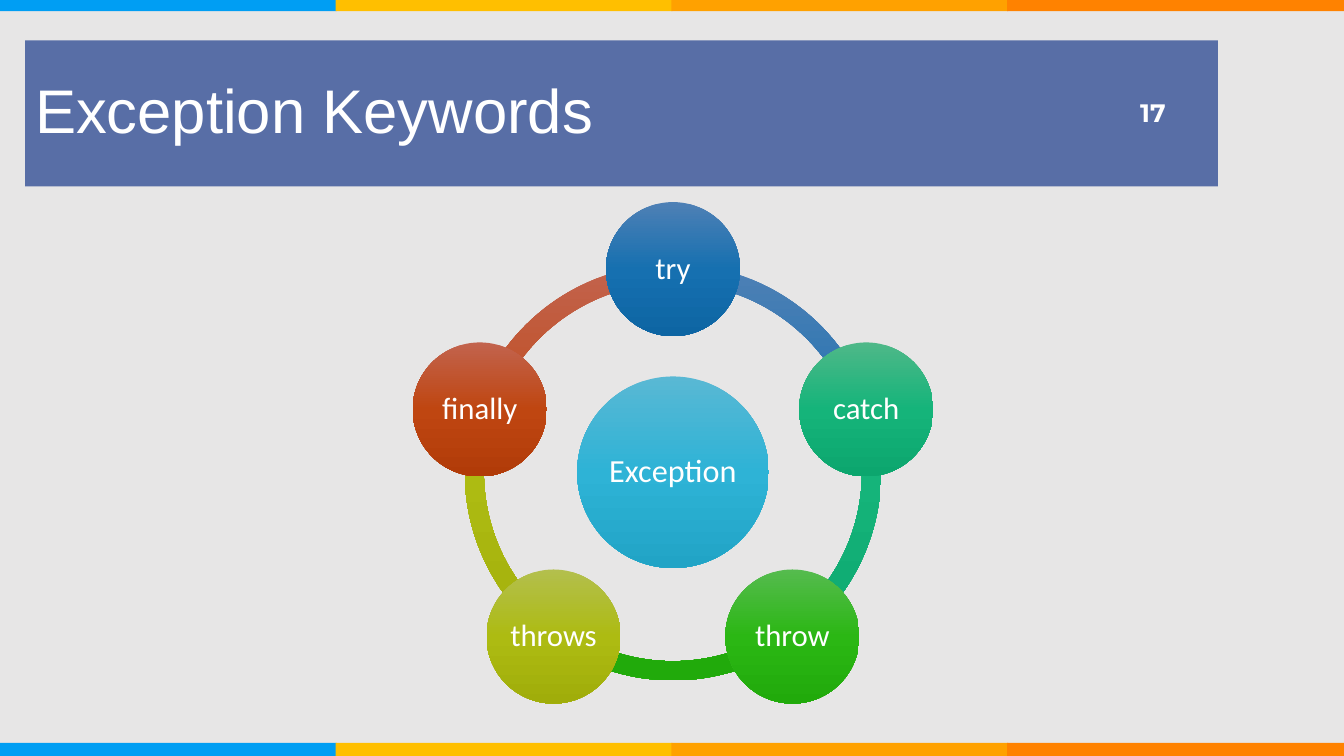
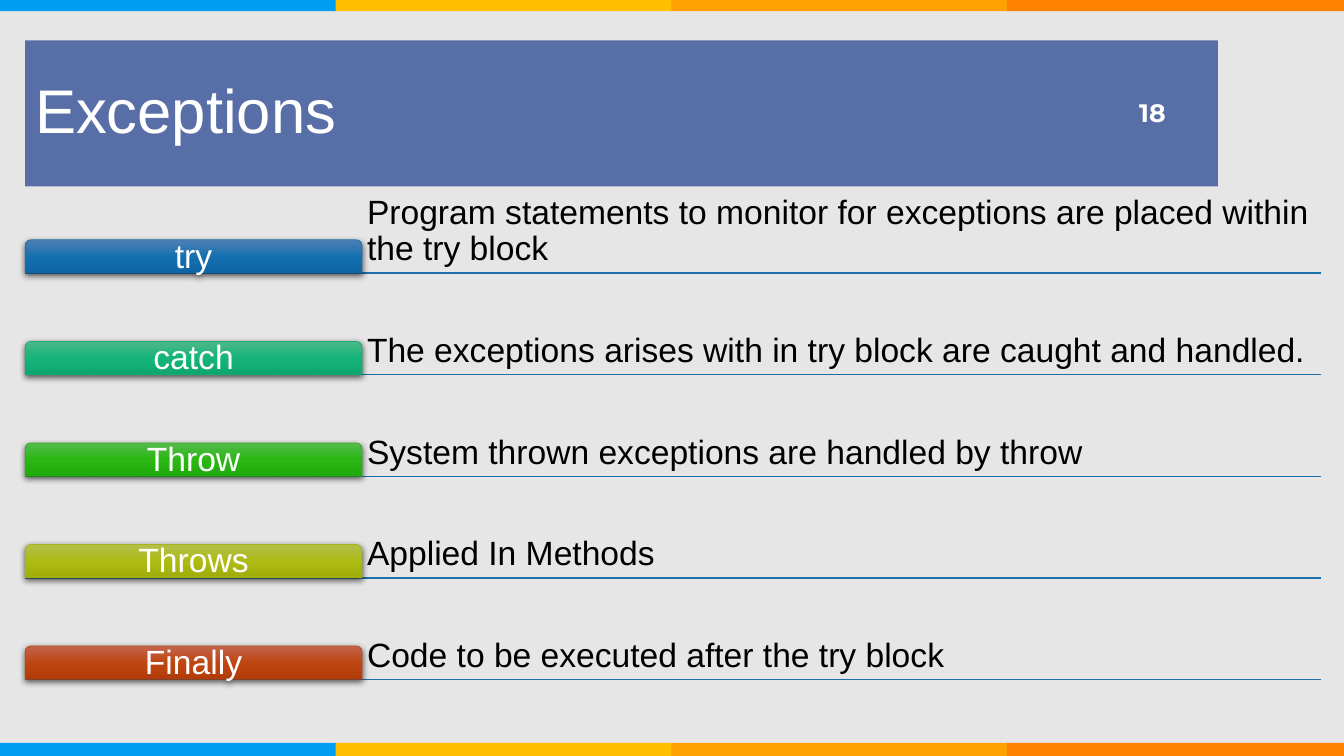
import math
import lxml.etree
import pptx
import pptx.dml.color
import pptx.enum.shapes
import pptx.enum.text
import pptx.oxml.ns
import pptx.util

PX = 9144
WIDTH, HEIGHT = 1333, 750
SHAPE = pptx.enum.shapes.MSO_SHAPE
ALIGN = pptx.enum.text.PP_ALIGN
ANCHOR = pptx.enum.text.MSO_ANCHOR

COLORS = {
    "background": "E7E6E6",
    "title": "586EA6",
    "white": "FFFFFF",
    "black": "000000",
    "rule": "1D6FA9",
}
BANDS = ["009EF3", "FFBF00", "FFA100", "FF8200"]
GRADIENTS = {
    "try": ["4E80B5", "1670B0", "0D65A3"],
    "catch": ["4EB888", "15B47A", "0CA66E"],
    "throw": ["55BB4E", "2BB714", "21AA0B"],
    "throws": ["B3BF4D", "ADBB12", "A0AD0A"],
    "finally": ["C2634D", "BF4611", "B13B08"],
    "center": ["59B8D4", "2EB3D6", "21A4C6"],
}
KEYWORDS = ["try", "catch", "throw", "throws", "finally"]
ROWS = [
    ("try", "1D6FA9", "Program statements to monitor for exceptions are placed within the try block"),
    ("catch", "1CAC78", "The exceptions arises with in try block are caught and handled."),
    ("Throw", "30B01B", "System thrown exceptions are handled by throw"),
    ("Throws", "A7B31A", "Applied In Methods"),
    ("Finally", "B74919", "Code to be executed after the try block"),
]


def px(*values):
    return [pptx.util.Emu(round(v * PX)) for v in values]


def rgb(value):
    return pptx.dml.color.RGBColor.from_string(value)


def sub(parent, tag, **attrs):
    return lxml.etree.SubElement(parent, pptx.oxml.ns.qn(tag), attrs)


def set_text(sp, text, size, color="white", font="Arial", align=ALIGN.LEFT,
             anchor=ANCHOR.MIDDLE, inset=(10, 5), bold=False, spacing=0.9, wrap=True):
    tf = sp.text_frame
    tf.text = text
    tf.word_wrap = wrap
    tf.vertical_anchor = anchor
    tf.margin_left = tf.margin_right = px(inset[0])[0]
    tf.margin_top = tf.margin_bottom = px(inset[1])[0]
    p = tf.paragraphs[0]
    p.alignment = align
    p.line_spacing = spacing
    r = p.runs[0]
    r.font.name = font
    r.font.size = pptx.util.Pt(size)
    r.font.bold = bold
    r.font.color.rgb = rgb(COLORS[color])


def add_shape(slide, kind, box, fill):
    sp = slide.shapes.add_shape(kind, *px(*box))
    sp.shadow.inherit = False
    sp.line.fill.background()
    if isinstance(fill, str):
        sp.fill.solid()
        sp.fill.fore_color.rgb = rgb(fill)
        return sp
    sp.fill.gradient()
    sp.fill.gradient_angle = 270
    stops = sp.element.spPr.find(".//" + pptx.oxml.ns.qn("a:gsLst"))
    for stop in list(stops):
        stops.remove(stop)
    for i, color in enumerate(fill):
        stop = sub(stops, "a:gs", pos=str(i * 50000))
        sub(stop, "a:srgbClr", val=color)
    return sp


def add_drop_shadow(sp):
    effects = sp.element.spPr.find(pptx.oxml.ns.qn("a:effectLst"))
    shadow = sub(effects, "a:outerShdw", blurRad="57150", dist="19050",
                 dir="5400000", algn="ctr", rotWithShape="0")
    color = sub(shadow, "a:srgbClr", val=COLORS["black"])
    sub(color, "a:alpha", val="63000")


def add_rule(slide, x1, x2, y):
    line = slide.shapes.add_connector(pptx.enum.shapes.MSO_CONNECTOR.STRAIGHT, *px(x1, y, x2, y))
    line.line.color.rgb = rgb(COLORS["rule"])
    line.line.width = pptx.util.Pt(1)
    sub(line.element.spPr, "a:effectLst")


def add_band(slide, top, height):
    step = WIDTH // len(BANDS)
    for i, color in enumerate(BANDS):
        add_shape(slide, SHAPE.RECTANGLE, (i * step, top, step + 1, height), color)


def add_title(slide, box, title, number):
    x, y, w, h = box
    sp = add_shape(slide, SHAPE.RECTANGLE, box, COLORS["title"])
    set_text(sp, title, 44)
    tb = slide.shapes.add_textbox(*px(x + w - 99, y + 52, 57, 40))
    set_text(tb, str(number), 18, font="Montserrat", align=ALIGN.RIGHT, bold=True, spacing=1.0)


def add_frame(prs, title, number):
    slide = prs.slides.add_slide(prs.slide_layouts[6])
    add_band(slide, HEIGHT - 13, 13)
    add_band(slide, 0, 11)
    add_title(slide, (25, 40, 1183, 145), title, number)
    return slide


def add_circle(slide, cx, cy, size, text, key, font_size):
    box = (cx - size / 2, cy - size / 2, size, size)
    sp = add_shape(slide, SHAPE.OVAL, box, GRADIENTS[key])
    set_text(sp, text, font_size, font="Calibri", align=ALIGN.CENTER, inset=(3, 3), wrap=False)


def add_keyword_ring(slide, box):
    x, y, w, h = box
    cx, cy = x + w / 2, y + h / 2
    step = 360 / len(KEYWORDS)
    angles = [(270 + i * step) % 360 for i in range(len(KEYWORDS))]
    for key, angle in reversed(list(zip(KEYWORDS, angles))):
        arc = add_shape(slide, SHAPE.BLOCK_ARC, box, GRADIENTS[key])
        arc.adjustments[0] = angle * 0.6
        arc.adjustments[1] = (angle + step) % 360 * 0.6
        arc.adjustments[2] = 0.046
    add_circle(slide, cx, cy, 190, "Exception", "center", 23)
    radius = w / 2 - 5
    for key, angle in zip(KEYWORDS, angles):
        a = math.radians(angle)
        add_circle(slide, cx + radius * math.cos(a), cy + radius * math.sin(a), 133, key, key, 22)


def add_definitions(slide, box):
    x, y, w, h = box
    row_h, label_w = 33, 334
    step = (h - row_h) / (len(ROWS) - 1)
    tops = [y + i * step for i in range(len(ROWS))]
    for top in tops:
        add_rule(slide, x, x + w, top + row_h)
    for top, (label, outline, text) in zip(tops, ROWS):
        tb = slide.shapes.add_textbox(*px(x + label_w, top, w - label_w, row_h))
        set_text(tb, text, 24, color="black", anchor=ANCHOR.BOTTOM, inset=(5, 5))
        sp = add_shape(slide, SHAPE.ROUND_2_SAME_RECTANGLE, (x, top, label_w, row_h),
                       GRADIENTS[label.lower()])
        sp.adjustments[0] = 0.167
        sp.line.color.rgb = rgb(outline)
        sp.line.width = pptx.util.Pt(0.5)
        add_drop_shadow(sp)
        set_text(sp, label, 24, align=ALIGN.CENTER, inset=(5, 5))


def main():
    prs = pptx.Presentation()
    prs.slide_width, prs.slide_height = px(WIDTH, HEIGHT)
    fill = prs.slide_master.background.fill
    fill.solid()
    fill.fore_color.rgb = rgb(COLORS["background"])
    add_keyword_ring(add_frame(prs, "Exception Keywords", 17), (461, 262, 413, 413))
    add_definitions(add_frame(prs, "Exceptions", 18), (25, 238, 1285, 436))
    prs.save("out.pptx")


if __name__ == "__main__":
    main()
